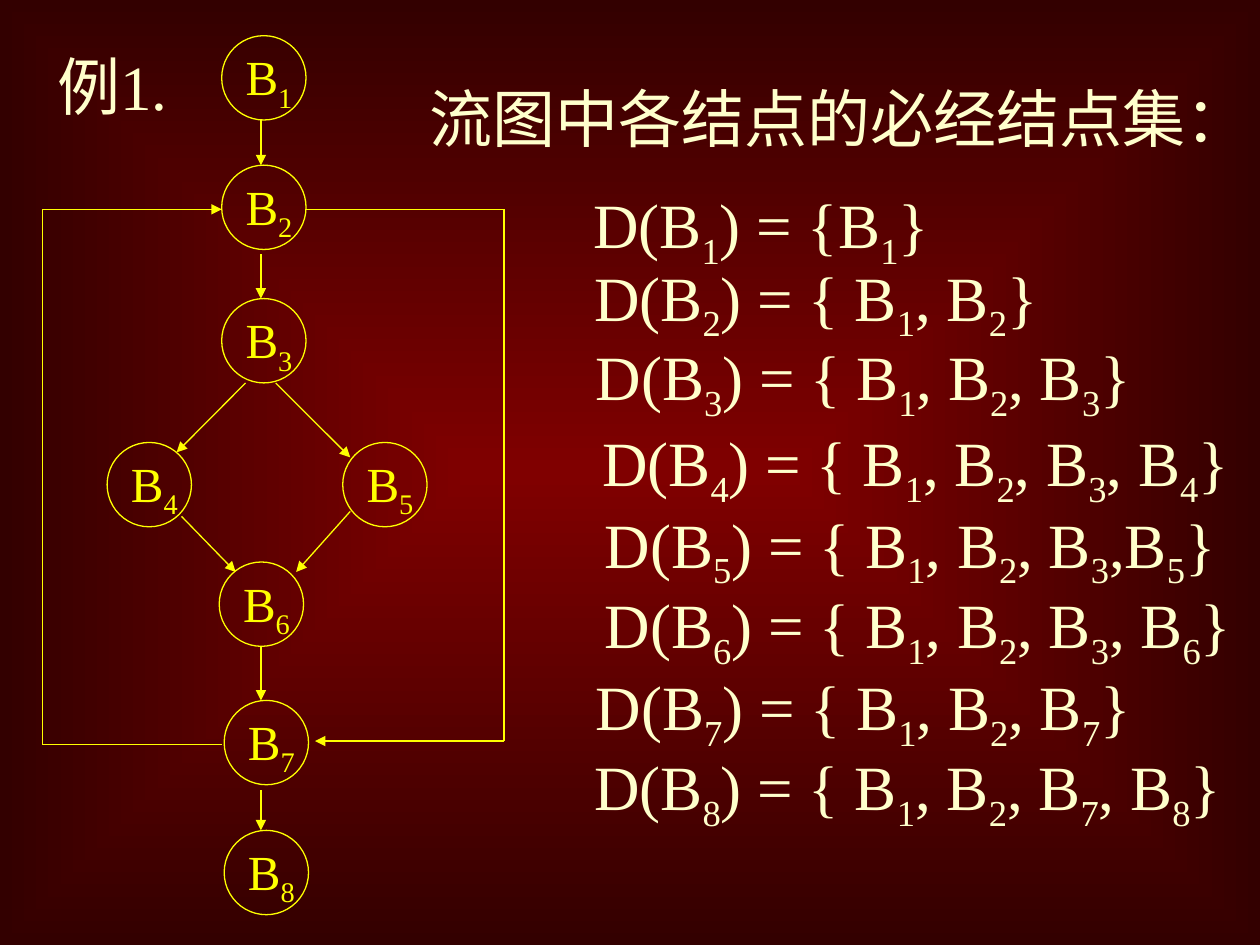
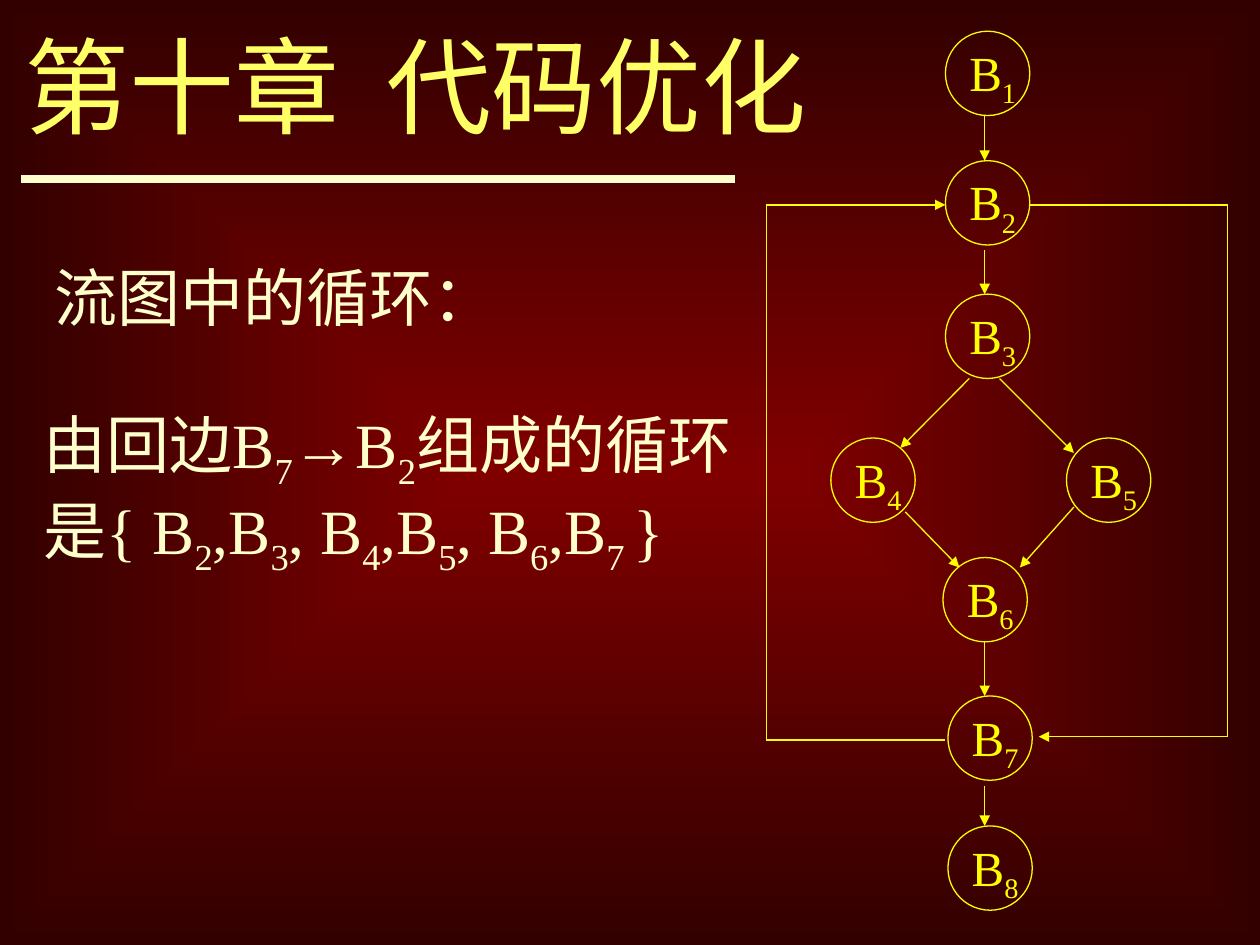
from itertools import groupby

from lxml.etree import SubElement
from pptx import Presentation
from pptx.dml.color import RGBColor
from pptx.enum.shapes import MSO_CONNECTOR, MSO_SHAPE
from pptx.enum.text import MSO_AUTO_SIZE
from pptx.oxml.ns import qn
from pptx.util import Cm, Pt

COLORS = {
    "center": "800000",
    "edge": "330000",
    "graph": "FFFF00",
    "text": "FFFFCC",
    "title": "FFFF66",
}
SERIF, SANS = "Times New Roman", "Arial"

# Flow graph, in cm: top left corner of each node, and the points of each edge
NODE_SIZE = 1.7
NODES = {
    "B1": (4.47, 0.72), "B2": (4.47, 3.33), "B3": (4.47, 6.02),
    "B4": (2.16, 8.92), "B5": (6.91, 8.92), "B6": (4.42, 11.33),
    "B7": (4.52, 14.12), "B8": (4.52, 16.74),
}
EDGES = [
    [(5.26, 2.41), (5.26, 3.33)],
    [(5.26, 5.13), (5.26, 6.02)],
    [(4.95, 7.72), (3.56, 9.12)],
    [(5.56, 7.72), (7.06, 9.22)],
    [(3.66, 10.41), (4.75, 11.53)],
    [(7.06, 10.31), (5.97, 11.53)],
    [(5.26, 13.03), (5.26, 14.12)],
    [(5.26, 15.93), (5.26, 16.74)],
    [(4.47, 15.01), (0.86, 15.01), (0.86, 4.22), (4.47, 4.22)],
    [(6.17, 4.22), (10.16, 4.22), (10.16, 14.94), (6.35, 14.94)],
]

# Dominator sets: left, top, width in cm, text
DOMINATORS = [
    (11.71, 3.61, 7.6, "D(B1) = {B1}"),
    (11.73, 5.08, 9.8, "D(B2) = { B1, B2}"),
    (11.76, 6.68, 11.6, "D(B3) = { B1, B2, B3}"),
    (11.89, 8.41, 13.4, "D(B4) = { B1, B2, B3, B4}"),
    (11.94, 10.06, 13.2, "D(B5) = { B1, B2, B3,B5}"),
    (11.94, 11.68, 13.4, "D(B6) = { B1, B2, B3, B6}"),
    (11.76, 13.34, 11.6, "D(B7) = { B1, B2, B7}"),
    (11.73, 14.94, 13.4, "D(B8) = { B1, B2, B7, B8}"),
]


def rgb(name):
    return RGBColor.from_string(COLORS[name])


def add_slide(prs):
    """Blank slide with the shared gradient that darkens towards the edges."""
    s = prs.slides.add_slide(prs.slide_layouts[6])
    fill = s.background.fill
    fill.gradient()
    for stop, name in zip(fill.gradient_stops, ("center", "edge")):
        stop.color.rgb = rgb(name)
    grad = s.element.find(".//" + qn("a:gradFill"))
    grad.remove(grad.find(qn("a:lin")))
    path = SubElement(grad, qn("a:path"), path="rect")
    SubElement(path, qn("a:fillToRect"), l="50000", t="50000", r="50000", b="50000")
    return s


def add_run(p, text, size, color, font):
    r = p.add_run()
    r.text = text
    r.font.size = Pt(size)
    r.font.name = font
    r.font.color.rgb = rgb(color)
    return r


def split_subscripts(text):
    """Yield (is_subscript, part): digits, with a space right after one, are low."""
    low = [c.isdigit() or (c == " " and before.isdigit())
           for before, c in zip(" " + text, text)]
    for is_low, pairs in groupby(zip(low, text), key=lambda pair: pair[0]):
        yield is_low, "".join(c for _, c in pairs)


def add_text(s, x, y, w, h, text="", size=36, color="text", font=SERIF,
             wrap=True, subscripts=True):
    """Text box in which digits are set as subscripts."""
    tf = s.shapes.add_textbox(Cm(x), Cm(y), Cm(w), Cm(h)).text_frame
    tf.word_wrap = wrap
    tf.auto_size = MSO_AUTO_SIZE.SHAPE_TO_FIT_TEXT
    p = tf.paragraphs[0]
    parts = split_subscripts(text) if subscripts else [(False, text)]
    for is_low, part in parts:
        r = add_run(p, part, size, color, font)
        if is_low:
            r.font._element.set("baseline", "-25000")
    return p


def add_line(s, start, end, color="graph", width=0.75, arrow=False):
    sp = s.shapes.add_connector(MSO_CONNECTOR.STRAIGHT, *map(Cm, start + end))
    sp.line.color.rgb = rgb(color)
    sp.line.width = Pt(width)
    if arrow:
        SubElement(sp.line._get_or_add_ln(), qn("a:tailEnd"), type="triangle")
    SubElement(sp._element.spPr, qn("a:effectLst"))


def add_node(s, name, x, y):
    sp = s.shapes.add_shape(MSO_SHAPE.OVAL, Cm(x), Cm(y), Cm(NODE_SIZE), Cm(NODE_SIZE))
    sp.shadow.inherit = False
    sp.fill.background()
    sp.line.color.rgb = rgb("graph")
    sp.line.width = Pt(0.75)
    add_text(s, x + 0.23, y + 0.1, 1.45, 1.6, name, size=28, color="graph", wrap=False)


def add_flow_graph(s, dx=0.0, dy=0.0):
    for name, (x, y) in NODES.items():
        add_node(s, name, x + dx, y + dy)
    for edge in EDGES:
        points = [(x + dx, y + dy) for x, y in edge]
        for start, end in zip(points, points[1:]):
            add_line(s, start, end, arrow=end == points[-1])


def add_title(s, chapter, name):
    """Chapter title with a widened space between its parts, and a rule below."""
    p = add_text(s, 0.25, 0.3, 17.32, 2.79, subscripts=False)
    for part in (chapter, " ", name):
        r = add_run(p, part, 60, "title", SANS)
        if part == " ":
            r.font._element.set("spc", "1340")
    add_line(s, (0.43, 3.61), (14.81, 3.61), color="text", width=4.5)


def build_dominators(prs):
    s = add_slide(prs)
    add_flow_graph(s)
    add_text(s, 0.91, 0.84, 3.4, 1.78, "例1.", subscripts=False)
    add_text(s, 8.41, 1.47, 17.5, 1.78, "流图中各结点的必经结点集：", font=SANS)
    for x, y, w, text in DOMINATORS:
        add_text(s, x, y, w, 2.01, text)


def build_loop(prs):
    s = add_slide(prs)
    add_title(s, "第十章", "代码优化")
    add_text(s, 0.84, 5.08, 12.7, 1.78, "流图中的循环：")
    add_text(s, 0.63, 8.05, 14.5, 5.46,
             "由回边B7→B2组成的循环是{ B2,B3, B4,B5, B6,B7 }")
    add_flow_graph(s, dx=14.59, dy=-0.09)


def main():
    prs = Presentation()
    prs.slide_width, prs.slide_height = Cm(25.4), Cm(19.05)
    build_dominators(prs)
    build_loop(prs)
    prs.save("out.pptx")


if __name__ == "__main__":
    main()
